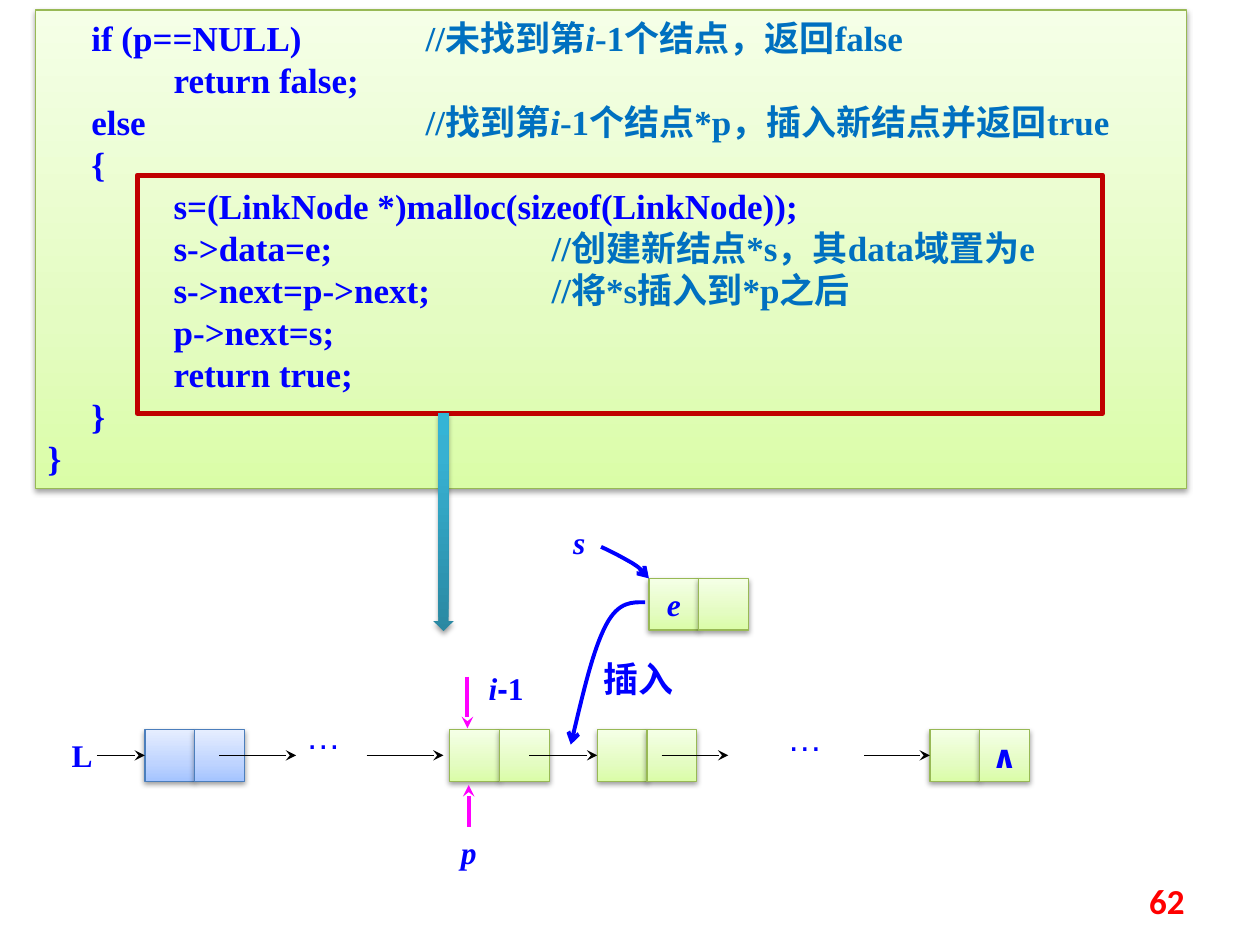
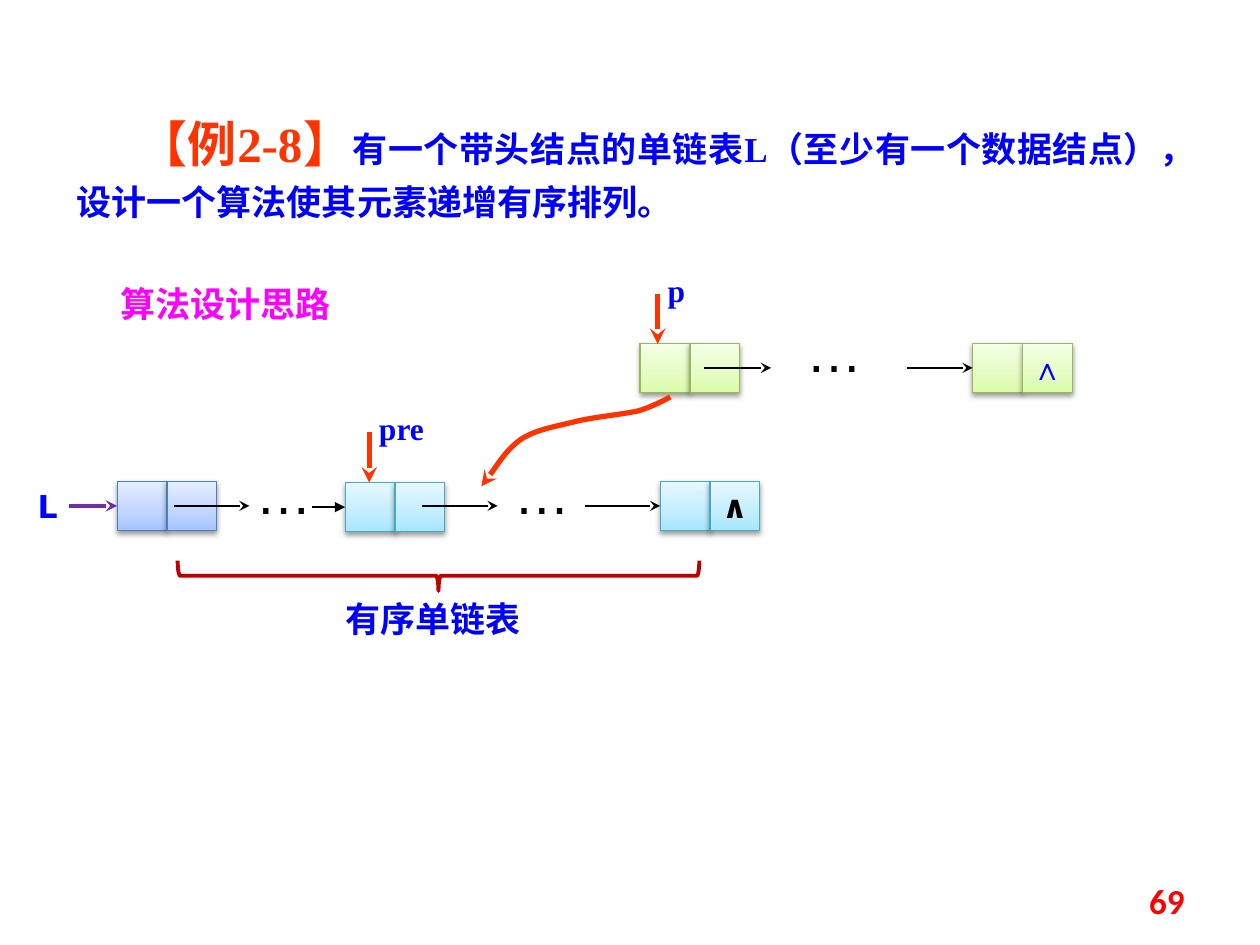
from dataclasses import dataclass

import pptx
import pptx.util
import pptx.dml.color
import pptx.oxml
import pptx.oxml.ns
from pptx.enum.shapes import MSO_CONNECTOR, MSO_SHAPE
from pptx.enum.text import MSO_ANCHOR, PP_ALIGN

Inches = pptx.util.Inches
Pt = pptx.util.Pt
qn = pptx.oxml.ns.qn

# Shared style
SERIF, SANS, CJK, SYMBOL = "Times New Roman", "Arial", "Noto Sans CJK SC", "DejaVu Sans"
BLUE, COMMENT, BLACK = "0000FF", "0070C0", "000000"
ORANGE, MAGENTA, PURPLE, DARK_RED = "FF3300", "FF00FF", "7030A0", "C00000"
GREEN_NODE = ([(0, "DAFDA7"), (35, "E4FCC2"), (100, "F5FFE7")], "98B955")
BLUE_NODE = ([(0, "A4C4FF"), (35, "BFD4FF"), (100, "E6EEFF")], "4B7EBC")
CYAN_NODE = ([(0, "A7E6FF"), (35, "C1EDFF"), (100, "E7F8FF")], "46AAC5")
TEAL_ARROW = ([(0, "2A88A2"), (80, "37B1D2"), (100, "34B4D6")], None)
CELL_WIDTH = 0.395


@dataclass
class Span:
    text: str
    size: int = 18
    color: str = BLUE
    font: str = SERIF
    bold: bool = True
    italic: bool = False


def rgb(value):
    return pptx.dml.color.RGBColor.from_string(value)


# Text
def write_spans(para, spans):
    for span in spans:
        run = para.add_run()
        run.text = span.text
        run.font.size = Pt(span.size)
        run.font.name = span.font
        run.font.bold = span.bold
        run.font.italic = span.italic
        run.font.color.rgb = rgb(span.color)
        has_cjk = any(ord(letter) > 0x2E80 for letter in span.text)
        east_asian = pptx.oxml.parse_xml(
            f'<a:ea {pptx.oxml.ns.nsdecls("a")} typeface="{CJK if has_cjk else span.font}"/>')
        run.font._element.find(qn("a:latin")).addnext(east_asian)


def add_text(page, left, top, width, height, *spans, align=PP_ALIGN.LEFT):
    box = page.shapes.add_textbox(Inches(left), Inches(top), Inches(width), Inches(height))
    box.text_frame.word_wrap = True
    para = box.text_frame.paragraphs[0]
    para.alignment = align
    write_spans(para, spans)
    return box


def add_ellipsis(page, left, top, size, color):
    add_text(page, left, top, 0.79, 0.6, Span("…", size, color, SANS, bold=False))


def add_page_number(page, number):
    box = add_text(page, 7.17, 6.95, 2.33, 0.4, Span(number, 20, "FF0000", "Calibri"),
                   align=PP_ALIGN.RIGHT)
    box.text_frame.vertical_anchor = MSO_ANCHOR.MIDDLE


# Shapes
def add_glossy(page, kind, left, top, width, height, style):
    """Preset shape with a vertical gradient and a soft shadow below."""
    stops, edge = style
    shape = page.shapes.add_shape(kind, Inches(left), Inches(top), Inches(width), Inches(height))
    shape.fill.gradient()
    shape.fill.gradient_angle = 90
    stop_list = shape._element.spPr.find(".//" + qn("a:gsLst"))
    for stop in list(stop_list):
        stop_list.remove(stop)
    names = pptx.oxml.ns.nsdecls("a")
    for position, color in stops:
        stop_list.append(pptx.oxml.parse_xml(
            f'<a:gs {names} pos="{position * 1000}"><a:srgbClr val="{color}"/></a:gs>'))
    if edge:
        shape.line.color.rgb = rgb(edge)
        shape.line.width = Pt(0.75)
    else:
        shape.line.fill.background()
    shape.shadow.inherit = False
    shape._element.spPr.find(qn("a:effectLst")).append(pptx.oxml.parse_xml(
        f'<a:outerShdw {names} blurRad="{Pt(3.1)}" dist="{Pt(1.6)}" dir="5400000" rotWithShape="0">'
        '<a:srgbClr val="000000"><a:alpha val="38000"/></a:srgbClr></a:outerShdw>'))
    return shape


def add_outline(page, kind, left, top, width, height, weight):
    shape = page.shapes.add_shape(kind, Inches(left), Inches(top), Inches(width), Inches(height))
    shape.fill.background()
    shape.line.color.rgb = rgb(DARK_RED)
    shape.line.width = Pt(weight)
    shape.shadow.inherit = False
    return shape


def add_node(page, left, top, height, style, data=None, link=None):
    """List node of a data cell and a link cell; returns the data cell."""
    cells = []
    for index, span in enumerate((data, link)):
        cell = add_glossy(page, MSO_SHAPE.RECTANGLE, left + index * CELL_WIDTH, top,
                          CELL_WIDTH, height, style)
        if span:
            cell.text_frame.word_wrap = False
            cell.text_frame.vertical_anchor = MSO_ANCHOR.MIDDLE
            para = cell.text_frame.paragraphs[0]
            para.alignment = PP_ALIGN.CENTER
            write_spans(para, [span])
        cells.append(cell)
    return cells[0]


# Lines
def style_line(shape, color, weight, head):
    shape.line.color.rgb = rgb(color)
    shape.line.width = Pt(weight)
    shape.line._get_or_add_ln().append(pptx.oxml.parse_xml(
        f'<a:tailEnd {pptx.oxml.ns.nsdecls("a")} type="{head}"/>'))


def add_arrow(page, start, end, color=BLACK, weight=0.75, head="stealth", target=None):
    """Straight arrow; with a target it ends at the middle of its left side."""
    arrow = page.shapes.add_connector(MSO_CONNECTOR.STRAIGHT, *map(Inches, start + end))
    if target:
        arrow.end_connect(target, 1)
    style_line(arrow, color, weight, head)
    arrow._element.spPr.append(pptx.oxml.parse_xml(
        f'<a:effectLst {pptx.oxml.ns.nsdecls("a")}/>'))


def add_curve(page, points, color, weight, head):
    """Arrow along cubic curves: a start, then three points for each curve."""
    spots = [(Inches(x), Inches(y)) for x, y in points]
    builder = page.shapes.build_freeform(*spots[0])
    builder.add_line_segments(spots[1:], close=False)
    curve = builder.convert_to_shape()
    outline = curve._element.spPr.find(".//" + qn("a:path"))
    lines = outline.findall(qn("a:lnTo"))
    for first in range(0, len(lines), 3):
        bend = pptx.oxml.parse_xml(f'<a:cubicBezTo {pptx.oxml.ns.nsdecls("a")}/>')
        outline.append(bend)
        for line in lines[first:first + 3]:
            bend.append(line[0])
            outline.remove(line)
    curve.fill.background()
    curve.shadow.inherit = False
    style_line(curve, color, weight, head)


# Slide content
CODE = [  # code, then comment parts with every second one in italics
    ("     if (p==NULL)\t", "//未找到第", "i", "-1个结点，返回false"),
    ("\treturn false;",),
    ("     else\t\t\t", "//找到第", "i", "-1个结点*p，插入新结点并返回true"),
    ("     {",),
    ("\ts=(LinkNode *)malloc(sizeof(LinkNode));",),
    ("\ts->data=e;\t\t", "//创建新结点*s，其data域置为e"),
    ("\ts->next=p->next;\t", "//将*s插入到*p之后"),
    ("\tp->next=s;",),
    ("\treturn true;",),
    ("     }",),
    ("}",),
]


def set_inch_tabs(para):
    stops = "".join(f'<a:tab pos="{Inches(place)}" algn="l"/>' for place in range(1, 5))
    para._p.get_or_add_pPr().append(pptx.oxml.parse_xml(
        f'<a:tabLst {pptx.oxml.ns.nsdecls("a")}>{stops}</a:tabLst>'))


def add_code(page):
    panel = add_glossy(page, MSO_SHAPE.RECTANGLE, 0.28, 0.08, 9.14, 3.8, GREEN_NODE)
    frame = panel.text_frame
    frame.word_wrap = True
    frame.vertical_anchor = MSO_ANCHOR.TOP
    for index, (code, *comment) in enumerate(CODE):
        para = frame.add_paragraph() if index else frame.paragraphs[0]
        para.alignment = PP_ALIGN.LEFT
        set_inch_tabs(para)
        write_spans(para, [Span(code, 20)] + [
            Span(part, 20, COMMENT, italic=place % 2 == 1) for place, part in enumerate(comment)])


def build_insert_slide(page):
    add_code(page)

    # List with its nodes and links
    top, height, middle = 5.79, 0.41, 5.995
    head = add_node(page, 1.15, top, height, BLUE_NODE)
    add_node(page, 3.57, top, height, GREEN_NODE)
    following = add_node(page, 4.74, top, height, GREEN_NODE)
    last = add_node(page, 7.38, top, height, GREEN_NODE, link=Span("∧", font=SYMBOL))
    for start, end, target in ((0.77, 1.15, head), (1.74, 2.35, None), (2.91, 3.52, None),
                               (4.2, 4.74, following), (5.25, 5.78, None), (6.86, 7.38, last)):
        add_arrow(page, (start, middle), (end, middle), target=target)
    add_text(page, 0.47, 5.79, 0.29, 0.42, Span("L"))
    add_ellipsis(page, 2.33, 5.62, 20, BLUE)
    add_ellipsis(page, 6.15, 5.64, 20, BLUE)

    # Pointers to node i-1
    add_arrow(page, (3.71, 5.37), (3.71, 5.78), MAGENTA, 2.25)
    add_text(page, 3.78, 5.26, 0.64, 0.42, Span("i", italic=True), Span("-", font=SANS), Span("1"))
    add_arrow(page, (3.72, 6.56), (3.72, 6.23), MAGENTA, 2.25)
    add_text(page, 3.56, 6.56, 0.39, 0.42, Span("p", italic=True))

    # New node going into the list
    add_node(page, 5.15, 4.59, height, GREEN_NODE, data=Span("e", italic=True))
    add_curve(page, [(5.12, 4.78), (5.02, 4.78), (4.91, 4.77), (4.81, 4.96),
                     (4.71, 5.15), (4.62, 5.53), (4.53, 5.91)], BLUE, 2.25, "arrow")
    add_curve(page, [(4.77, 4.34), (4.86, 4.38), (4.95, 4.43), (5.02, 4.47),
                     (5.08, 4.51), (5.12, 4.55), (5.15, 4.59)], BLUE, 2.25, "arrow")
    add_text(page, 4.45, 4.1, 0.39, 0.43, Span("s", italic=True))
    add_text(page, 4.69, 5.17, 0.86, 0.46, Span("插入", 20))

    # Highlighted code and its effect
    add_outline(page, MSO_SHAPE.RECTANGLE, 1.09, 1.39, 7.66, 1.89, 3)
    add_glossy(page, MSO_SHAPE.DOWN_ARROW, 3.44, 3.28, 0.16, 1.73, TEAL_ARROW)
    add_page_number(page, "62")


def build_sort_slide(page):
    # Problem statement
    problem = add_text(
        page, 0.51, 0.76, 9.07, 1.15,
        Span("【", 28, ORANGE, CJK), Span("例2-8", 28, ORANGE), Span("】", 28, ORANGE, CJK),
        Span("有一个带头结点的单链表L（至少有一个数据结点），设计一个算法使其元素递增有序排列。", 20),
        align=PP_ALIGN.JUSTIFY)
    para = problem.text_frame.paragraphs[0]
    para.line_spacing = 1.2
    settings = para._p.get_or_add_pPr()
    settings.set("indent", str(Inches(0.49)))
    settings.set("hangingPunct", "0")
    add_text(page, 0.86, 2.19, 3.07, 0.5, Span("算法设计思路", 20, MAGENTA, CJK))

    # Nodes still to be placed
    size, rest_middle, sorted_middle = 0.39, 2.92, 4.015
    add_node(page, 5.08, 2.725, size, GREEN_NODE)
    rest_last = add_node(page, 7.72, 2.725, size, GREEN_NODE, link=Span("∧"))
    add_arrow(page, (5.59, rest_middle), (6.12, rest_middle))
    add_ellipsis(page, 6.3, 2.46, 32, BLACK)
    add_arrow(page, (7.2, rest_middle), (7.72, rest_middle), target=rest_last)

    # Sorted list
    head = add_node(page, 0.93, 3.82, size, BLUE_NODE)
    before = add_node(page, 2.74, 3.83, size, CYAN_NODE)
    last = add_node(page, 5.24, 3.82, size, CYAN_NODE, link=Span("∧", color=BLACK, font=SYMBOL))
    add_text(page, 0.2, 3.82, 0.61, 0.4, Span("L", font=SYMBOL))
    add_arrow(page, (0.55, sorted_middle), (0.93, sorted_middle), PURPLE, 2.25, target=head)
    for start, end, target in ((1.38, 1.98, None), (3.35, 3.95, None), (4.64, 5.24, last)):
        add_arrow(page, (start, sorted_middle), (end, sorted_middle), target=target)
    add_arrow(page, (2.48, 4.025), (2.74, 4.025), head="triangle", target=before)
    for left in (1.93, 3.98):
        add_ellipsis(page, left, 3.59, 32, BLACK)

    # Pointers and the move between the lists
    add_arrow(page, (5.22, 2.33), (5.22, 2.73), ORANGE, 3)
    add_text(page, 5.2, 2.1, 0.39, 0.4, Span("p"))
    add_arrow(page, (2.93, 3.43), (2.93, 3.83), ORANGE, 3)
    add_text(page, 2.91, 3.2, 0.6, 0.4, Span("pre"))
    add_curve(page, [(5.32, 3.15), (5.32, 3.15), (5.2, 3.22), (5.07, 3.26),
                     (4.94, 3.29), (4.7, 3.31), (4.55, 3.35),
                     (4.39, 3.39), (4.25, 3.41), (4.13, 3.49),
                     (4.01, 3.58), (3.89, 3.78), (3.82, 3.86)], ORANGE, 3, "stealth")

    # Brace under the sorted list
    brace = add_outline(page, MSO_SHAPE.RIGHT_BRACE, 3.36, 2.5, 0.24, 4.14, 2.25)
    brace.rotation = 90
    add_text(page, 2.42, 4.69, 2.03, 0.44, Span("有序单链表", 20, font=CJK), align=PP_ALIGN.CENTER)
    add_page_number(page, "69")


def main():
    deck = pptx.Presentation()
    deck.slide_width, deck.slide_height = Inches(10), Inches(7.5)
    for build in (build_insert_slide, build_sort_slide):
        build(deck.slides.add_slide(deck.slide_layouts[6]))
    deck.save("out.pptx")


if __name__ == "__main__":
    main()
